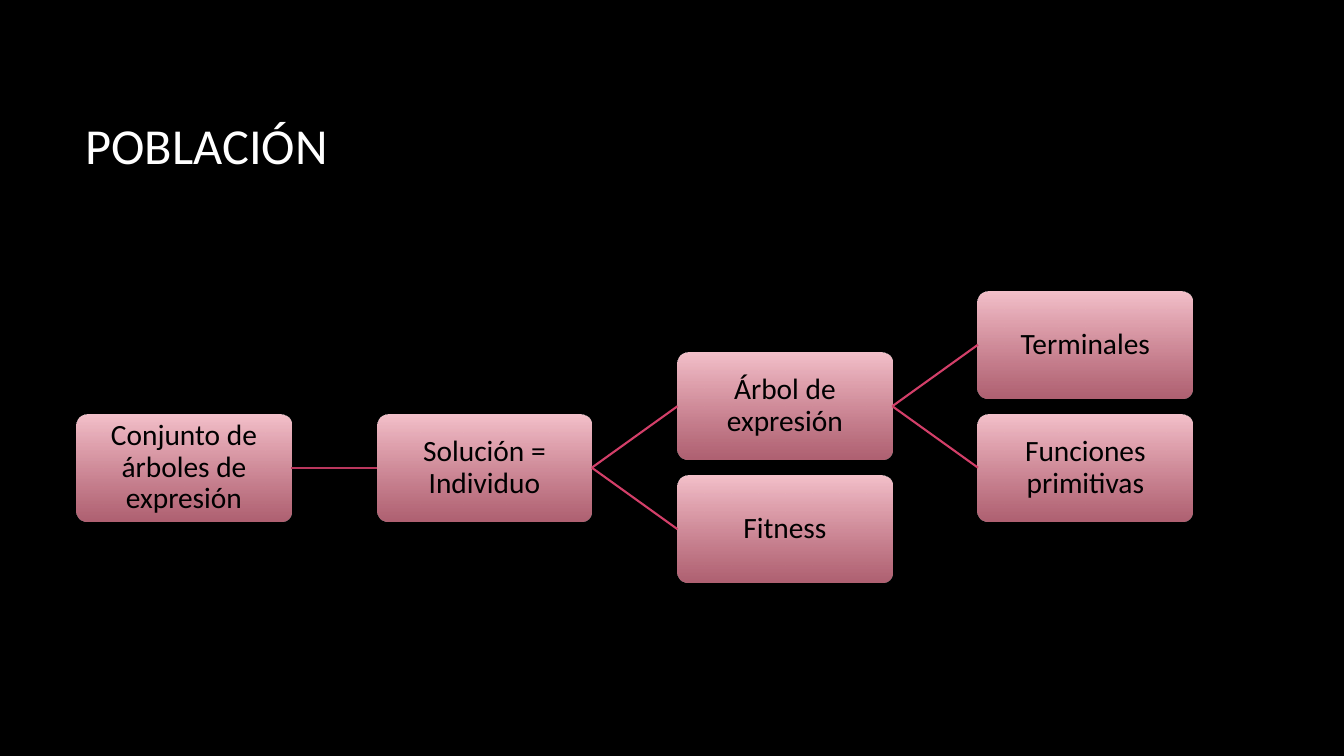
from lxml import etree
from pptx import Presentation
from pptx.dml.color import RGBColor
from pptx.enum.shapes import MSO_CONNECTOR, MSO_SHAPE
from pptx.enum.text import MSO_ANCHOR, PP_ALIGN
from pptx.oxml.ns import qn
from pptx.util import Inches, Pt

BLACK = RGBColor(0x00, 0x00, 0x00)
WHITE = RGBColor(0xFF, 0xFF, 0xFF)
PINK_LIGHT = RGBColor(0xF5, 0xC1, 0xCB)
PINK = RGBColor(0xEC, 0x84, 0x9A)
LINE_ROOT = RGBColor(0xBA, 0x37, 0x5D)
LINE_BRANCH = RGBColor(0xD3, 0x3F, 0x69)

prs = Presentation()
prs.slide_width, prs.slide_height = Inches(13.33), Inches(7.5)
s = prs.slides.add_slide(prs.slide_layouts[6])
s.background.fill.solid()
s.background.fill.fore_color.rgb = BLACK


def style_text(tf, text, size, color, align):
    tf.word_wrap = True
    tf.vertical_anchor = MSO_ANCHOR.MIDDLE
    tf.text = text
    p = tf.paragraphs[0]
    p.alignment = align
    p.line_spacing = 0.9
    font = p.runs[0].font
    font.name, font.size, font.color.rgb = "Calibri", Pt(size), color


# Title
title = s.shapes.add_textbox(Inches(0.75), Inches(0.67), Inches(11.08), Inches(1.59))
style_text(title.text_frame, "POBLACIÓN", 36, WHITE, PP_ALIGN.LEFT)

# Tree nodes: text, level, vertical offset from the root in half rows
LEFT, ROOT_TOP, LEVEL_STEP, HALF_ROW = 0.76, 4.11, 2.98, 0.61
nodes = [
    ("Conjunto de árboles de expresión", 0, 0),
    ("Solución = Individuo", 1, 0),
    ("Árbol de expresión", 2, -1),
    ("Terminales", 3, -2),
    ("Funciones primitivas", 3, 0),
    ("Fitness", 2, 1),
]
boxes = []
for text, level, offset in nodes:
    sp = s.shapes.add_shape(
        MSO_SHAPE.ROUNDED_RECTANGLE,
        Inches(LEFT + level * LEVEL_STEP), Inches(ROOT_TOP + offset * HALF_ROW),
        Inches(2.13), Inches(1.06))
    sp.adjustments[0] = 0.1
    sp.shadow.inherit = False
    sp.line.fill.background()
    sp.fill.gradient()
    sp.fill.gradient_angle = 270
    top, bottom = sp.fill.gradient_stops
    top.color.rgb, bottom.color.rgb = PINK_LIGHT, PINK
    # The lower stop is 74 % opaque
    color = sp.element.spPr.findall(".//" + qn("a:srgbClr"))[-1]
    etree.SubElement(color, qn("a:alpha"), val="74000")
    tf = sp.text_frame
    tf.margin_left = tf.margin_right = tf.margin_top = tf.margin_bottom = Inches(0.01)
    style_text(tf, text, 21, BLACK, PP_ALIGN.CENTER)
    boxes.append(sp)

# Branches: parent, child
for parent, child in [(0, 1), (1, 2), (2, 3), (2, 4), (1, 5)]:
    line = s.shapes.add_connector(MSO_CONNECTOR.STRAIGHT, 0, 0, 0, 0)
    line.begin_connect(boxes[parent], 3)
    line.end_connect(boxes[child], 1)
    line.line.color.rgb = LINE_BRANCH if parent else LINE_ROOT
    line.line.width = Pt(1.5)
    etree.SubElement(line.element.spPr, qn("a:effectLst"))

prs.save("out.pptx")
